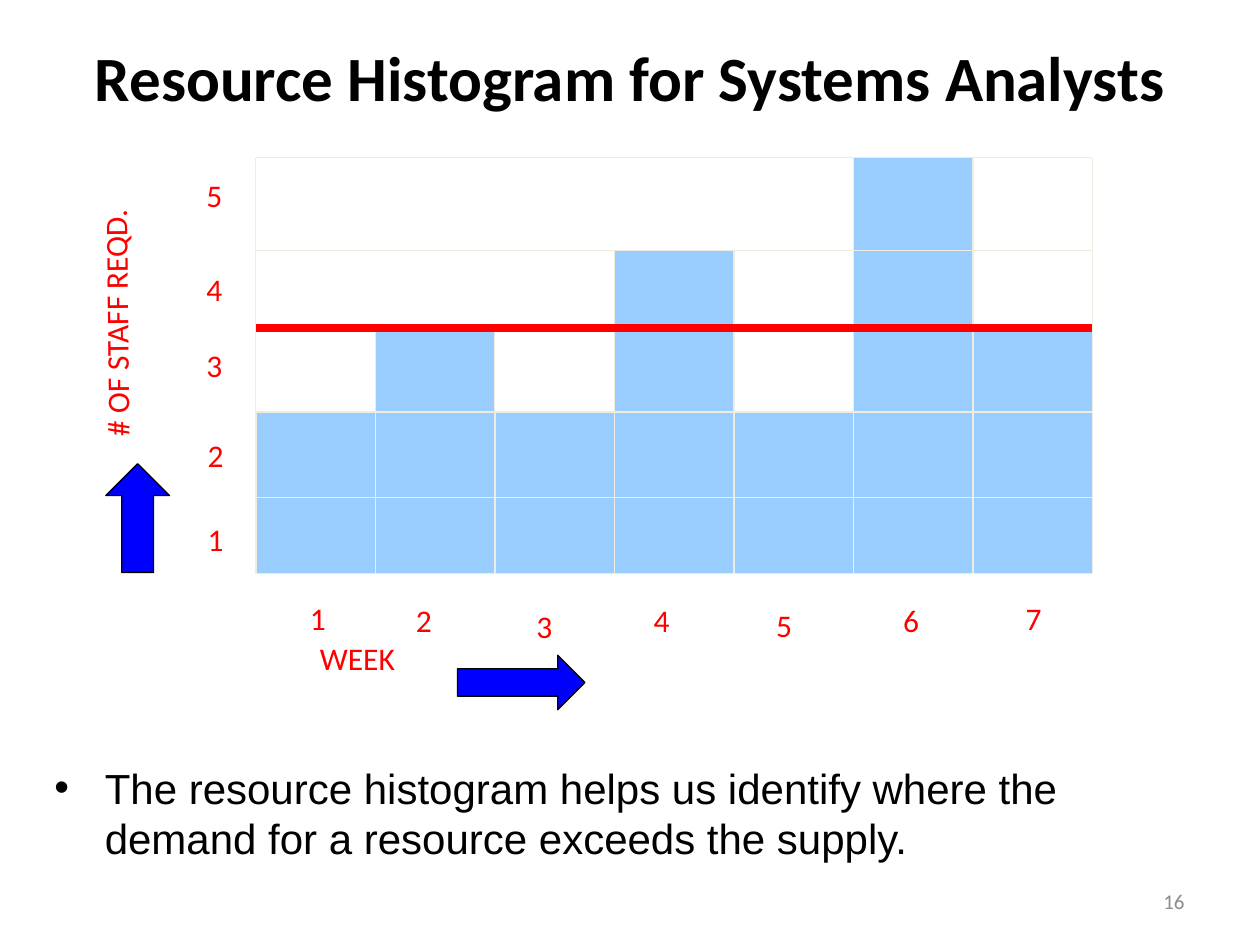
"""Builds the resource histogram slide for systems analysts."""
from dataclasses import dataclass

from lxml.etree import SubElement
from pptx import Presentation
from pptx.dml.color import RGBColor
from pptx.enum.shapes import MSO_CONNECTOR, MSO_SHAPE
from pptx.enum.text import MSO_ANCHOR, PP_ALIGN
from pptx.oxml.ns import qn
from pptx.util import Pt


@dataclass(frozen=True)
class Theme:
    """Colours, fonts and type sizes of the slide."""
    ink: str = "000000"
    bar: str = "99CCFF"
    grid: str = "EEECE1"
    accent: str = "FF0000"
    arrow: str = "0000FF"
    muted: str = "8C8C8C"
    heading_font: str = "Calibri"
    body_font: str = "Arial"
    title_size: int = 36
    body_size: int = 24
    label_size: int = 18
    number_size: int = 12


class SlideBuilder:
    """Holds the theme and the current page and draws each kind of element."""

    def __init__(self, page, theme):
        self.page = page
        self.theme = theme

    def text(self, words, left, top, width, height, size, color, font=None, bold=False,
             align=PP_ALIGN.LEFT, anchor=MSO_ANCHOR.TOP, wrap=True):
        """Adds a text box with one paragraph."""
        box = self.page.shapes.add_textbox(Pt(left), Pt(top), Pt(width), Pt(height))
        frame = box.text_frame
        frame.text = words
        frame.word_wrap = wrap
        frame.vertical_anchor = anchor
        para = frame.paragraphs[0]
        para.alignment = align
        for span in para.runs:
            span.font.name = font or self.theme.heading_font
            span.font.size = Pt(size)
            span.font.bold = bold
            span.font.color.rgb = RGBColor.from_string(color)
        return box

    def label(self, words, left, top, width=30, height=24, wrap=True):
        """Adds a red chart label."""
        return self.text(words, left, top, width, height,
                         self.theme.label_size, self.theme.accent, wrap=wrap)

    def bullet(self, words, left, top, width, height, indent):
        """Adds a bulleted paragraph with a hanging indent."""
        box = self.text(words, left, top, width, height, self.theme.body_size,
                        self.theme.ink, font=self.theme.body_font)
        properties = box.text_frame.paragraphs[0]._p.get_or_add_pPr()
        properties.set("marL", str(Pt(indent)))
        properties.set("indent", str(-Pt(indent)))
        SubElement(properties, qn("a:buFont"), typeface=self.theme.body_font)
        SubElement(properties, qn("a:buChar"), char="•")

    def shape(self, kind, left, top, width, height, fill, line):
        """Adds a filled and outlined preset shape."""
        shape = self.page.shapes.add_shape(kind, Pt(left), Pt(top), Pt(width), Pt(height))
        shape.shadow.inherit = False
        shape.fill.solid()
        shape.fill.fore_color.rgb = RGBColor.from_string(fill)
        shape.line.color.rgb = RGBColor.from_string(line)
        shape.line.width = Pt(0.75)

    def line(self, start_x, start_y, end_x, end_y, color, weight=0.75):
        """Adds a straight line without shadow."""
        line = self.page.shapes.add_connector(
            MSO_CONNECTOR.STRAIGHT, Pt(start_x), Pt(start_y), Pt(end_x), Pt(end_y))
        line.line.color.rgb = RGBColor.from_string(color)
        line.line.width = Pt(weight)
        SubElement(line._element.spPr, qn("a:effectLst"))


def draw_histogram(builder):
    """Draws the bars, grid, supply line and axis labels."""
    theme = builder.theme
    staff = [2, 3, 2, 4, 2, 5, 3]
    levels = [327.6, 284.4, 235.4, 187.2, 143.3, 90]
    left, bar_width = 146.2, 68.3
    right = left + bar_width * len(staff)

    for week, count in enumerate(staff):
        builder.shape(MSO_SHAPE.RECTANGLE, left + week * bar_width, levels[count],
                      bar_width, levels[0] - levels[count], theme.bar, theme.grid)
    for count in (1, 2, 4, 5):
        builder.line(left, levels[count], right, levels[count], theme.grid)
    builder.line(left, levels[2], left, levels[5], theme.grid)
    builder.line(right, levels[3], right, levels[5], theme.grid)
    builder.line(left, levels[3], right, levels[3], theme.accent, 4.5)

    week_places = [(170, 338.5), (230.5, 340), (299.5, 343.5), (366.5, 340),
                   (436.5, 343), (509, 340), (579, 338.5)]
    staff_places = [(111.6, 293.8), (111.6, 245.5), (110.9, 194.4),
                    (110.9, 150.5), (110.9, 97.2)]
    for places in (week_places, staff_places):
        for number, (x, y) in enumerate(places, 1):
            builder.label(str(number), x, y)

    builder.label("WEEK", 175.7, 361.5, 73.4)
    builder.shape(MSO_SHAPE.RIGHT_ARROW, 261.4, 374.4, 72.9, 31.2, theme.arrow, theme.ink)
    builder.shape(MSO_SHAPE.UP_ARROW, 60.5, 265, 36.4, 62.2, theme.arrow, theme.ink)
    axis_title = builder.label("# OF STAFF REQD.", -6.5, 169.2, 145.4, 28.8, wrap=False)
    axis_title.rotation = 269.4


def main():
    """Builds and saves the deck."""
    deck = Presentation()
    deck.slide_width, deck.slide_height = Pt(720), Pt(540)
    theme = Theme()
    builder = SlideBuilder(deck.slides.add_slide(deck.slide_layouts[6]), theme)
    builder.text("Resource Histogram for Systems Analysts", 36, 12.2, 648, 62.6,
                 theme.title_size, theme.ink, bold=True,
                 align=PP_ALIGN.CENTER, anchor=MSO_ANCHOR.MIDDLE)
    builder.text("16", 516, 500.5, 168, 28.8, theme.number_size, theme.muted,
                 align=PP_ALIGN.RIGHT, anchor=MSO_ANCHOR.MIDDLE)
    draw_histogram(builder)
    builder.bullet("The resource histogram helps us identify where the demand for a "
                   "resource exceeds the supply.", 24, 432, 666, 65.5, 28.8)
    deck.save("out.pptx")


if __name__ == "__main__":
    main()
